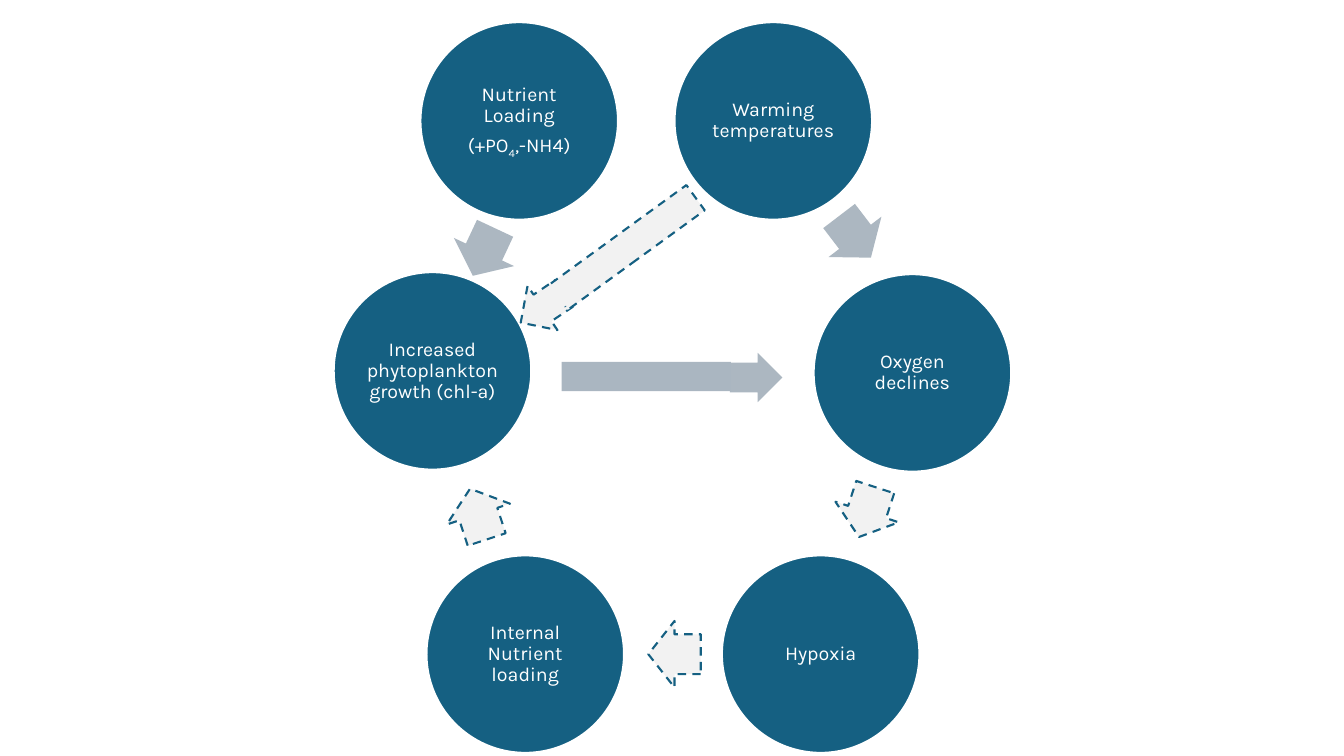
from pptx import Presentation
from pptx.dml.color import RGBColor
from pptx.enum.dml import MSO_LINE
from pptx.enum.shapes import MSO_SHAPE
from pptx.enum.text import MSO_ANCHOR, PP_ALIGN
from pptx.util import Pt

OVAL = MSO_SHAPE.OVAL
ARROW = MSO_SHAPE.RIGHT_ARROW
RECT = MSO_SHAPE.RECTANGLE
DASH = MSO_LINE.DASH
MIDDLE = MSO_ANCHOR.MIDDLE
CENTER = PP_ALIGN.CENTER

PX = 9144
FONT = "Karla"
DIAMETER = 196
BLANK_LAYOUT = 6
COLORS = {
    "blue": "156082",
    "white": "FFFFFF",
    "gray": "ACB7C1",
    "shaft": "AAB6C1",
    "pale": "F2F2F2",
}

STAGES = [
    (669, 22, [["Warming temperatures"]]),
    (807, 272, [["Oxygen declines"]]),
    (716, 551, [["Hypoxia"]]),
    (423, 551, [["Internal Nutrient loading"]]),
    (331, 270, [["Increased phytoplankton growth (chl-a)"]]),
    (417, 22, [["Nutrient Loading"], ["(+PO", "_4", ",-NH4)"]]),
]

ARROWS = [
    (822, 202, 52, 66, 52.6, "gray", False),
    (834, 475, 52, 66, 108, "pale", True),
    (643, 616, 52, 66, 180, "pale", True),
    (448, 477, 53, 66, 251.8, "pale", True),
    (724, 350, 52, 49, 0, "gray", False),
    (454, 217, 52, 66, 115.1, "gray", False),
    (512, 279, 52, 53, 146, "pale", True),
]

SHAFTS = [
    (557, 359, 168, 29, 0, "shaft", False),
    (538, 230, 168, 31, 324, "pale", True),
    (543, 279, 26, 25, 324, "pale", False),
]


def rgb(name):
    return RGBColor.from_string(COLORS[name])


def add_filled(s, kind, x, y, w, h, fill, line=None):
    sp = s.shapes.add_shape(kind, x * PX, y * PX, w * PX, h * PX)
    sp.shadow.inherit = False
    sp.fill.solid()
    sp.fill.fore_color.rgb = rgb(fill)
    if line:
        sp.line.color.rgb = rgb(line)
        sp.line.width = Pt(1.5)
    else:
        sp.line.fill.background()
    return sp


def add_run(p, text):
    r = p.add_run()
    r.text = text.lstrip("_")
    r.font.name = FONT
    r.font.size = Pt(14)
    r.font.color.rgb = rgb("white")
    if text.startswith("_"):
        r._r.get_or_add_rPr().set("baseline", "-25000")


def add_stage(s, x, y, paragraphs):
    sp = add_filled(s, OVAL, x, y, DIAMETER, DIAMETER, "blue", "white")
    tf = sp.text_frame
    tf.word_wrap = True
    tf.vertical_anchor = MIDDLE
    tf.margin_left = tf.margin_right = tf.margin_top = tf.margin_bottom = 2 * PX
    for i, runs in enumerate(paragraphs):
        p = tf.add_paragraph() if i else tf.paragraphs[0]
        p.alignment = CENTER
        p.line_spacing = 0.9
        p.space_after = Pt(5)
        for text in runs:
            add_run(p, text)


def add_turned(s, kind, x, y, w, h, angle, fill, dashed):
    sp = add_filled(s, kind, x, y, w, h, fill, "blue" if dashed else None)
    sp.rotation = angle
    if dashed:
        sp.line.dash_style = DASH
    return sp


def add_arrow(s, *arrow):
    sp = add_turned(s, ARROW, *arrow)
    sp.adjustments[0] = 0.6
    sp.adjustments[1] = 0.5


def main():
    prs = Presentation()
    prs.slide_width = 1333 * PX
    prs.slide_height = 750 * PX
    s = prs.slides.add_slide(prs.slide_layouts[BLANK_LAYOUT])
    for stage in STAGES:
        add_stage(s, *stage)
    for arrow in ARROWS:
        add_arrow(s, *arrow)
    for shaft in SHAFTS:
        add_turned(s, RECT, *shaft)
    prs.save("out.pptx")


if __name__ == "__main__":
    main()
